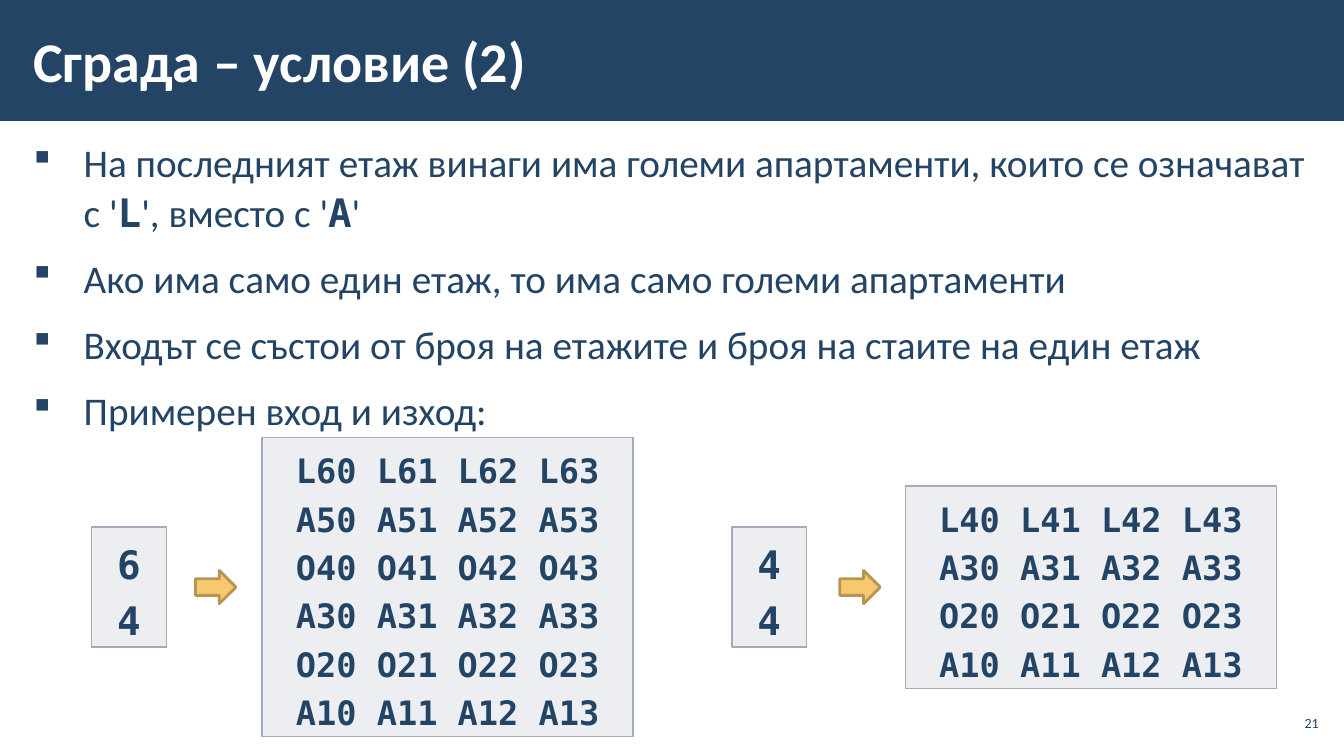
from lxml import etree
from pptx import Presentation
from pptx.dml.color import RGBColor
from pptx.enum.shapes import MSO_SHAPE
from pptx.enum.text import MSO_ANCHOR, PP_ALIGN
from pptx.oxml.ns import qn
from pptx.util import Inches, Pt

RECT, ARROW = MSO_SHAPE.RECTANGLE, MSO_SHAPE.RIGHT_ARROW
TOP, MIDDLE = MSO_ANCHOR.TOP, MSO_ANCHOR.MIDDLE
LEFT, CENTER, RIGHT = PP_ALIGN.LEFT, PP_ALIGN.CENTER, PP_ALIGN.RIGHT
NAVY = RGBColor(0x23, 0x44, 0x65)
WHITE = RGBColor(0xFF, 0xFF, 0xFF)
GREY = RGBColor(0xA3, 0xAB, 0xBC)
GOLD = RGBColor(0xF7, 0xC8, 0x6D)
BROWN = RGBColor(0xB7, 0x94, 0x51)
SANS, MONO = "Calibri", "DejaVu Sans Mono"

deck = Presentation()
deck.slide_width, deck.slide_height = Inches(13.33), Inches(7.5)
slide = deck.slides.add_slide(deck.slide_layouts[6])


def draw(kind, place, fill=None, edge=None, width=1):
    spot = [Inches(n) for n in place]
    if kind is None:
        return slide.shapes.add_textbox(*spot)
    shape = slide.shapes.add_shape(kind, *spot)
    shape.shadow.inherit = False
    shape.fill.solid()
    shape.fill.fore_color.rgb = fill
    if edge is None:
        shape.line.fill.background()
    else:
        shape.line.color.rgb = edge
        shape.line.width = Pt(width)
    return shape


def write(shape, lines, size, color, face=SANS, bold=False,
          anchor=MIDDLE, pad=(0.12, 0.04), **form):
    frame = shape.text_frame
    wide, high = [Inches(n) for n in pad]
    setup = {"word_wrap": True, "vertical_anchor": anchor,
             "margin_left": wide, "margin_right": wide,
             "margin_top": high, "margin_bottom": high}
    for key, value in setup.items():
        setattr(frame, key, value)
    for i, line in enumerate(lines):
        para = frame.add_paragraph() if i else frame.paragraphs[0]
        for key, value in form.items():
            setattr(para, key, value)
        for j, part in enumerate(line.split("|")):
            run = para.add_run()
            run.text = part
            code = j % 2 == 1
            style = {"name": MONO if code else face,
                     "size": Pt(size), "bold": bold or code}
            for key, value in style.items():
                setattr(run.font, key, value)
            run.font.color.rgb = color
    return frame


draw(RECT, (0, 0, 13.33, 1.2), NAVY)

points = [
    "На последният етаж винаги има големи апартаменти, "
    "които се означават с '|L|', вместо с '|А|'",
    "Ако има само един етаж, то има само големи апартаменти",
    "Входът се състои от броя на етажите и броя на стаите на един етаж",
    "Примерен вход и изход:",
]
body = write(draw(None, (0.21, 1.31, 12.92, 5.69)), points, 28, NAVY,
             anchor=TOP, alignment=LEFT, line_spacing=1.05,
             space_before=Pt(6), space_after=Pt(6))
for para in body.paragraphs:
    props = para._p.get_or_add_pPr()
    props.set("marL", str(Inches(0.5)))
    props.set("indent", str(-Inches(0.5)))
    etree.SubElement(props, qn("a:buFont")).set("typeface", "Wingdings")
    etree.SubElement(props, qn("a:buChar")).set("char", "§")

write(draw(None, (0.21, 0.11, 10.39, 0.97)), ["Сграда – условие (2)"],
      40, WHITE, bold=True)
write(draw(None, (12.65, 7, 0.47, 0.34)), ["21"], 10, NAVY,
      pad=(0.04, 0.04), alignment=RIGHT)

MID, ROOMS = 5.825, 4
for floors, start, point, goal in [(6, 0.91, 1.94, 2.6),
                                   (4, 7.26, 8.33, 8.98)]:
    rows = []
    for floor in range(floors, 0, -1):
        mark = "L" if floor == floors else "AO"[floor % 2 == 0]
        rows.append(" ".join(f"{mark}{floor}{room}" for room in range(ROOMS)))
    tall = 0.09 + 0.48 * floors
    for left, wide, high, lines, size in [
            (start, 0.74, 1.19, [str(floors), str(ROOMS)], 28),
            (goal, 3.68, tall, rows, 24)]:
        box = draw(RECT, (left, MID - high / 2, wide, high), GREY, GREY)
        tint = box._element.spPr.find(qn("a:solidFill"))[0]
        etree.SubElement(tint, qn("a:alpha")).set("val", "20000")
        write(box, lines, size, NAVY, MONO, True, pad=(0.1, 0.05),
              alignment=CENTER, line_spacing=1.2)
    draw(ARROW, (point, MID - 0.165, 0.4, 0.33), GOLD, BROWN, 2)

deck.save("out.pptx")
